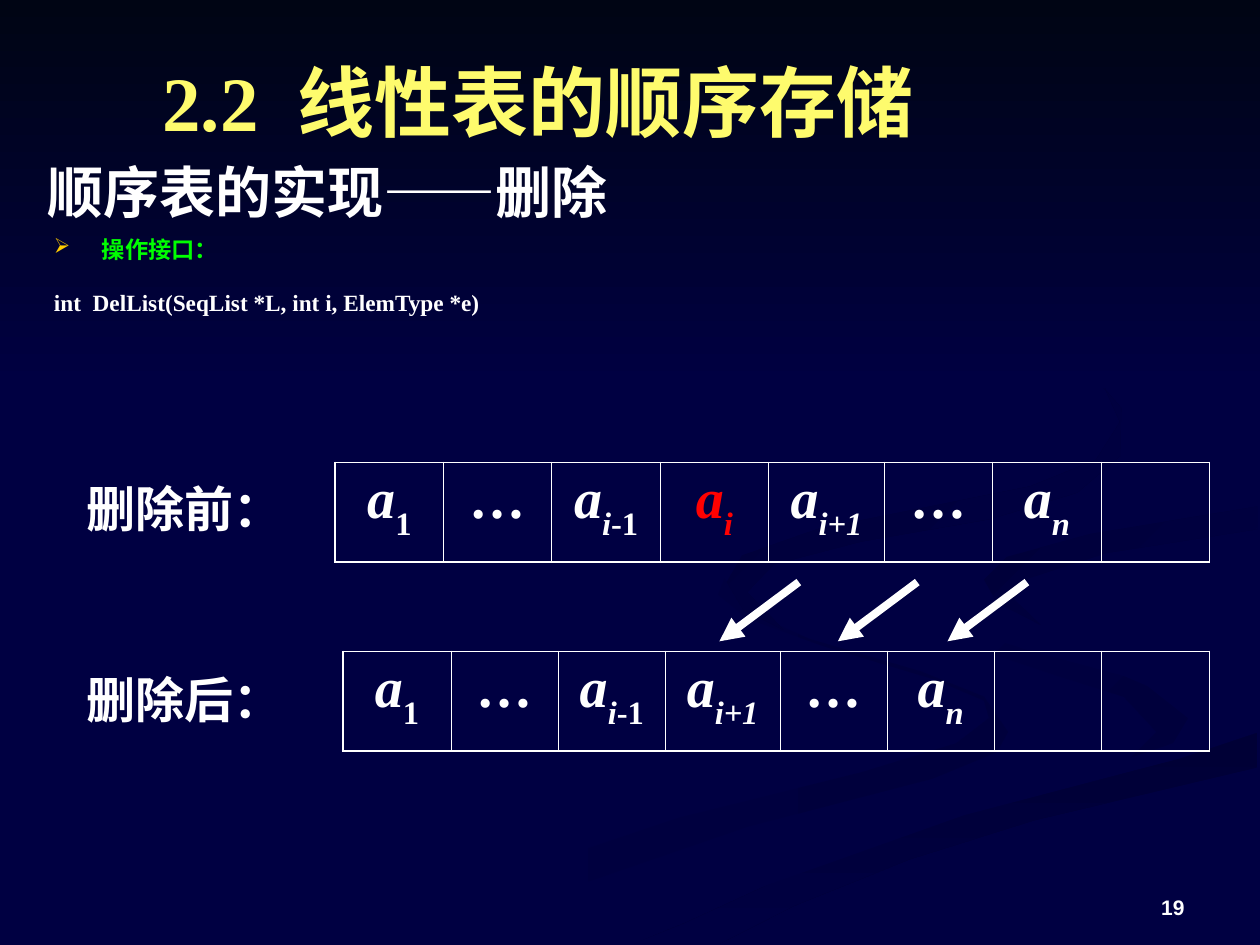
import pptx
import pptx.dml.color
import pptx.enum.shapes
import pptx.enum.text
import pptx.oxml
import pptx.oxml.ns
import pptx.util
from dataclasses import dataclass

Inches, Pt = pptx.util.Inches, pptx.util.Pt
ALIGN, ANCHOR = pptx.enum.text.PP_ALIGN, pptx.enum.text.MSO_ANCHOR
NS = pptx.oxml.ns.nsdecls("a")


@dataclass(frozen=True)
class Theme:
    back: str = "000042"
    night: str = "000514"
    white: str = "FFFFFF"
    title: str = "FEFB6D"
    green: str = "00FF00"
    bullet: str = "FFCC00"
    removed: str = "FF0101"
    serif: str = "Times New Roman"
    sans: str = "Arial"
    title_size: float = 44
    head_size: float = 32
    label_size: float = 28
    body_size: float = 13.3
    page_size: float = 12
    outer: float = 1.08
    inner: float = 0.45
    arrow: float = 4.5


def rgb(value):
    return pptx.dml.color.RGBColor.from_string(value)


class Deck:
    def __init__(self, prs, theme):
        self.t = theme
        self.s = prs.slides.add_slide(prs.slide_layouts[6])
        fill = self.s.background.fill
        fill.solid()
        fill.fore_color.rgb = rgb(theme.back)

    def run(self, p, text, size, color, font, italic=False, sub=False):
        r = p.add_run()
        r.text = text
        style = {"size": Pt(size), "name": font, "bold": True, "italic": italic}
        for name, value in style.items():
            setattr(r.font, name, value)
        r.font.color.rgb = rgb(color)
        if sub:
            r._r.get_or_add_rPr().set("baseline", "-30000")

    def text(self, box, lines, size, font, anchor=ANCHOR.TOP, inset=0.05,
             grow=False, bullet_first=False, **para):
        tf = self.s.shapes.add_textbox(*map(Inches, box)).text_frame
        frame = {"word_wrap": True, "vertical_anchor": anchor,
                 "margin_top": Inches(inset), "margin_bottom": Inches(inset)}
        for name, value in frame.items():
            setattr(tf, name, value)
        if grow:
            tf.auto_size = pptx.enum.text.MSO_AUTO_SIZE.SHAPE_TO_FIT_TEXT
        for i, (line, color) in enumerate(lines):
            p = tf.paragraphs[0] if i == 0 else tf.add_paragraph()
            for name, value in para.items():
                setattr(p, name, value)
            self.run(p, line, size, color, font)
            if bullet_first:
                self.hang(p, i == 0)

    def hang(self, p, bullet):
        pPr = p._p.get_or_add_pPr()
        pPr.set("marL", str(Inches(0.38)))
        pPr.set("indent", str(Inches(-0.38)))
        if bullet:
            for xml in (f'<a:buClr {NS}><a:srgbClr val="{self.t.bullet}"/></a:buClr>',
                        f'<a:buSzPct {NS} val="90000"/>',
                        f'<a:buChar {NS} char="➢"/>'):
                pPr.append(pptx.oxml.parse_xml(xml))

    def ribbon(self, points, colors, angle=0):
        pts = [(Inches(x), Inches(y)) for x, y in points]
        builder = self.s.shapes.build_freeform(*pts[0])
        builder.add_line_segments(pts[1:], close=True)
        sp = builder.convert_to_shape()
        sp.shadow.inherit = False
        sp.line.fill.background()
        sp.fill.gradient()
        sp.fill.gradient_angle = (360 - angle) % 360
        for stop, color in zip(sp.fill.gradient_stops, colors):
            stop.color.rgb = rgb(color)

    def array(self, left, top, widths, height, cells, removed=None):
        frame = self.s.shapes.add_table(1, len(widths), Inches(left), Inches(top),
                                        Inches(sum(widths)), Inches(height))
        table = frame.table
        table.first_row = table.horz_banding = False
        table.rows[0].height = Inches(height)
        last = len(widths) - 1
        for i, (width, runs) in enumerate(zip(widths, cells)):
            table.columns[i].width = Inches(width)
            cell = table.cell(0, i)
            cell.fill.background()
            self.borders(cell, i == 0, i == last)
            p = cell.text_frame.paragraphs[0]
            p.alignment, p.space_before = ALIGN.CENTER, Pt(8)
            color = self.t.removed if i == removed else self.t.white
            for text, italic, sub in runs:
                self.run(p, text, self.t.head_size, color, self.t.serif, italic, sub)

    def borders(self, cell, first, last):
        t = self.t
        sides = {"L": t.outer if first else t.inner,
                 "R": t.outer if last else t.inner, "T": t.outer, "B": t.outer}
        tcPr = cell._tc.get_or_add_tcPr()
        for n, (side, width) in enumerate(sides.items()):
            tcPr.insert(n, pptx.oxml.parse_xml(
                f'<a:ln{side} {NS} w="{Pt(width)}"><a:solidFill>'
                f'<a:srgbClr val="{t.white}"/></a:solidFill></a:ln{side}>'))

    def arrow(self, x1, y1, x2, y2):
        c = self.s.shapes.add_connector(pptx.enum.shapes.MSO_CONNECTOR.STRAIGHT,
                                        *map(Inches, (x1, y1, x2, y2)))
        c.line.color.rgb = rgb(self.t.white)
        c.line.width = Pt(self.t.arrow)
        c.line._get_or_add_ln().append(
            pptx.oxml.parse_xml(f'<a:tailEnd {NS} type="triangle"/>'))
        c._element.spPr.append(pptx.oxml.parse_xml(f'<a:effectLst {NS}/>'))


def main():
    prs = pptx.Presentation()
    prs.slide_width, prs.slide_height = Inches(10), Inches(7.5)
    t = Theme()
    d = Deck(prs, t)

    # Background ribbons
    d.ribbon([(7.81, 5.53), (7.31, 5.33), (6.42, 5.07), (5.94, 4.85), (5.75, 4.59),
              (5.7, 4.72), (5.93, 4.91), (6.54, 5.13), (7.41, 5.39), (7.81, 5.56),
              (7.85, 5.7), (7.59, 5.9), (6.84, 6.13), (5.39, 6.49), (4.17, 6.9),
              (3, 7.49), (3.61, 7.49), (4.66, 7), (5.94, 6.56), (7.4, 6.18),
              (7.91, 5.97), (8, 5.81)], (t.back, "00003C"))
    d.ribbon([(9.43, 5.7), (9.3, 5.53), (8.88, 5.35), (7.92, 5.09), (7.45, 4.9),
              (7.24, 4.64), (7.33, 4.88), (7.66, 5.12), (8.38, 5.36), (8.92, 5.53),
              (9.18, 5.81), (8.94, 6.05), (9.32, 5.89)], (t.back, "00003C"), 45)
    d.ribbon([(5.03, 7.49), (5.71, 7.49), (6.3, 7.19), (7.22, 6.82), (8.21, 6.51),
              (9.98, 6.09), (9.98, 5.81), (9.36, 6.02), (7.64, 6.47), (6.3, 6.93),
              (5.43, 7.33)], ("000036", t.back), 90)
    d.ribbon([(7.25, 4.64), (7.45, 4.9), (8.12, 5.15), (9.05, 5.4), (9.43, 5.7),
              (9.31, 5.9), (8.69, 6.11), (7.43, 6.43), (6.19, 6.84), (4.77, 7.49),
              (5.03, 7.49), (5.99, 7.06), (7.65, 6.47), (9.36, 6.02), (9.99, 5.81),
              (9.99, 5.38), (8.66, 5.09), (7.94, 4.8), (7.86, 4.53), (8.35, 4.3),
              (9.99, 4.02), (9.99, 3.87), (8.3, 4.15), (7.42, 4.39)], (t.back, t.back))
    d.ribbon([(7.81, 4.6), (7.91, 4.78), (8.26, 4.96), (8.05, 4.76), (8.16, 4.59),
              (8.78, 4.39), (9.98, 4.2), (9.98, 4.02), (8.65, 4.24), (7.99, 4.42)],
             ("00003A", t.back), 45)
    d.ribbon([(6.83, 4.3), (7.86, 4.12), (8.55, 3.91), (8.89, 3.62), (8.9, 3.24),
              (8.54, 2.83), (7.62, 2.33), (8.26, 2.66), (8.76, 3.06), (8.89, 3.35),
              (8.7, 3.65), (8.18, 3.86), (6.49, 4.2), (5.89, 4.41), (5.77, 4.62),
              (5.9, 4.84), (6.22, 5), (5.93, 4.7), (6.14, 4.48)], ("000038", t.back), 45)
    d.ribbon([(0, 0), (0, 3.08), (10, 3.08), (10, 0)], (t.night, t.back), 90)

    # Page number, headings and interface
    d.text((7.17, 6.83, 2.33, 0.52), [("19", t.white)], t.page_size, t.sans,
           ANCHOR.BOTTOM, alignment=ALIGN.RIGHT)
    d.text((0.33, 1.86, 9.17, 0.75),
           [("操作接口：", t.green),
            ("int  DelList(SeqList *L, int i, ElemType *e)", t.white)],
           t.body_size, t.serif, bullet_first=True, alignment=ALIGN.JUSTIFY,
           line_spacing=0.8, space_before=Pt(17.5))
    d.text((0.28, 1.18, 8.08, 0.67), [("顺序表的实现——删除", t.white)],
           t.head_size, t.sans, ANCHOR.MIDDLE)
    d.text((1.19, 0.43, 6.83, 0.73), [("2.2  线性表的顺序存储", t.title)],
           t.title_size, t.serif, inset=0, grow=True, space_before=Pt(27.5))

    # Arrays before and after the deletion; runs are (text, italic, subscript)
    a = ("a", True, False)
    first = [a, ("1", False, True)]
    dots = [("…", False, False)]
    before_i = [a, ("i", True, True), ("-1", False, True)]
    at_i = [a, ("i", True, True)]
    after_i = [a, ("i+1", True, True)]
    final = [a, ("n", True, True)]
    d.array(2.66, 3.67, [0.86] * 4 + [0.92] + [0.86] * 3, 0.79,
            [first, dots, before_i, at_i, after_i, dots, final, []], removed=3)
    d.array(2.72, 5.17, [0.86, 0.85, 0.85, 0.91, 0.85, 0.85, 0.85, 0.86], 0.79,
            [first, dots, before_i, after_i, dots, final, [], []])
    d.text((0.59, 3.75, 2.05, 0.57), [("删除前：", t.white)], t.label_size, t.serif,
           grow=True)
    d.text((0.59, 5.32, 1.81, 0.52), [("删除后：", t.white)], t.label_size, t.serif,
           grow=True, line_spacing=0.9, space_before=Pt(7))

    # Elements moving one place to the left
    for x in (6.34, 7.28, 8.15):
        d.arrow(x, 4.62, x - 0.63, 5.09)

    prs.save("out.pptx")


if __name__ == "__main__":
    main()
